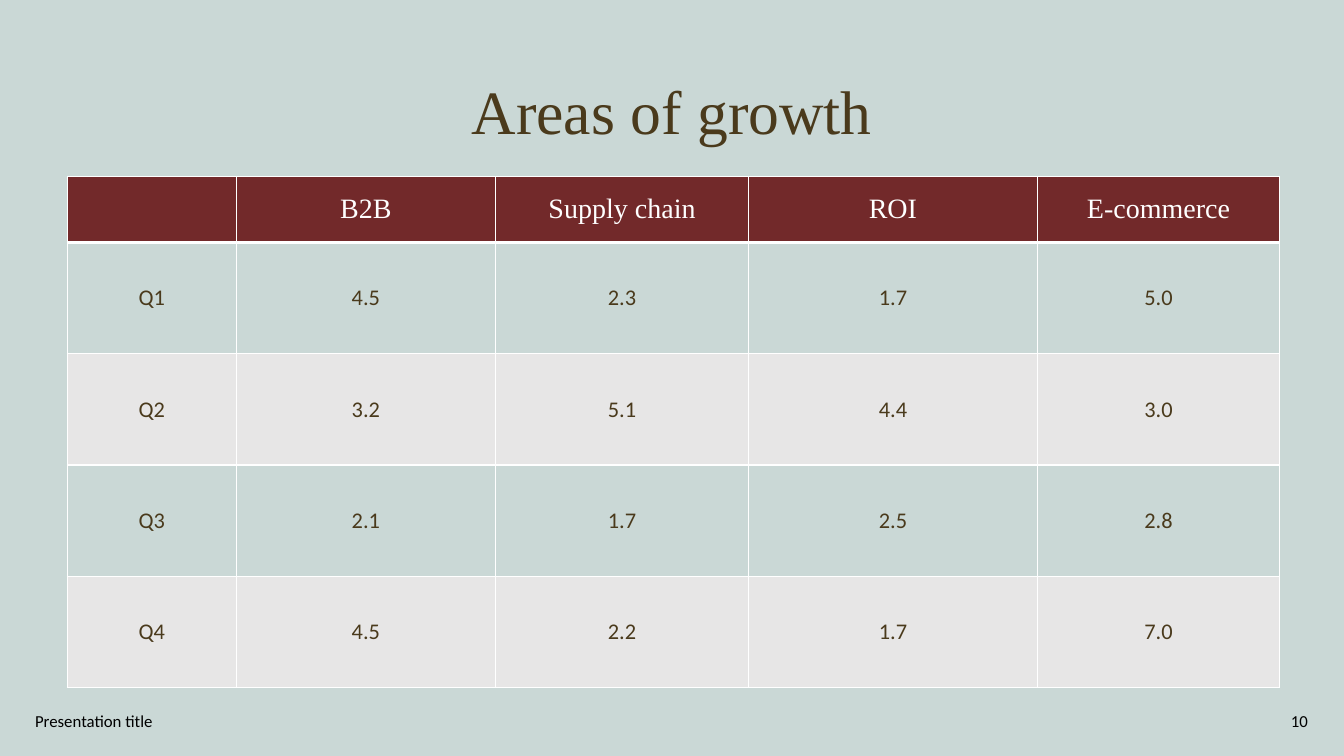
from lxml.etree import SubElement
from pptx import Presentation
from pptx.dml.color import RGBColor
from pptx.enum.text import MSO_ANCHOR, PP_ALIGN
from pptx.oxml.ns import qn
from pptx.util import Pt

TITLE = "Areas of growth"
FOOTER = "Presentation title"
PAGE_NUMBER = "10"
GROWTH = [
    ("", "B2B", "Supply chain", "ROI", "E-commerce"),
    ("Q1", "4.5", "2.3", "1.7", "5.0"),
    ("Q2", "3.2", "5.1", "4.4", "3.0"),
    ("Q3", "2.1", "1.7", "2.5", "2.8"),
    ("Q4", "4.5", "2.2", "1.7", "7.0"),
]

PX = 9525  # EMU, 96 px to the inch
SLIDE_WIDTH, SLIDE_HEIGHT = 1280, 720
TABLE_LEFT, TABLE_TOP = 64, 168
COLUMN_WIDTHS = (161, 247, 241, 275, 231)
HEADER_HEIGHT, QUARTER_HEIGHT = 63, 106
FOOTER_TOP, FOOTER_HEIGHT = 667, 38

SERIF, SANS = "Times New Roman", "Calibri"
SAGE = RGBColor(0xCA, 0xD8, 0xD6)
GREY = RGBColor(0xE7, 0xE6, 0xE6)
MAROON = RGBColor(0x72, 0x29, 0x2A)
BROWN = RGBColor(0x4A, 0x3A, 0x1C)
WHITE = RGBColor(0xFF, 0xFF, 0xFF)
BLACK = RGBColor(0, 0, 0)


def style(paragraph, font_name, size, color, align):
    paragraph.alignment = align
    paragraph.font.name = font_name
    paragraph.font.size = Pt(size)
    paragraph.font.color.rgb = color


def add_text(slide, text, box, font_name, size, color, align):
    frame = slide.shapes.add_textbox(*(n * PX for n in box)).text_frame
    frame.word_wrap = True
    frame.vertical_anchor = MSO_ANCHOR.MIDDLE
    paragraph = frame.paragraphs[0]
    paragraph.text = text
    style(paragraph, font_name, size, color, align)
    return paragraph


def add_borders(cell, top, bottom):
    """Draw white cell edges; top and bottom widths are in points."""
    properties = cell._tc.get_or_add_tcPr()
    for side, width in (("L", 1), ("R", 1), ("T", top), ("B", bottom)):
        line = SubElement(properties, qn(f"a:ln{side}"), w=str(Pt(width)))
        fill = SubElement(line, qn("a:solidFill"))
        SubElement(fill, qn("a:srgbClr"), val=str(WHITE))


def add_growth_table(slide):
    heights = [HEADER_HEIGHT] + [QUARTER_HEIGHT] * (len(GROWTH) - 1)
    table = slide.shapes.add_table(
        len(GROWTH), len(COLUMN_WIDTHS), TABLE_LEFT * PX, TABLE_TOP * PX,
        sum(COLUMN_WIDTHS) * PX, sum(heights) * PX).table
    for column, width in zip(table.columns, COLUMN_WIDTHS):
        column.width = width * PX
    for r, (quarter, height) in enumerate(zip(GROWTH, heights)):
        table.rows[r].height = height * PX
        if r == 0:
            background, text_style = MAROON, (SERIF, 20, WHITE)
        else:
            background, text_style = (SAGE if r % 2 else GREY), (SANS, 16, BROWN)
        for c, value in enumerate(quarter):
            cell = table.cell(r, c)
            add_borders(cell, top=3 if r == 1 else 1, bottom=3 if r == 0 else 1)
            cell.fill.solid()
            cell.fill.fore_color.rgb = background
            cell.vertical_anchor = MSO_ANCHOR.MIDDLE
            paragraph = cell.text_frame.paragraphs[0]
            paragraph.text = value
            style(paragraph, *text_style, PP_ALIGN.CENTER)


def main():
    presentation = Presentation()
    presentation.slide_width = SLIDE_WIDTH * PX
    presentation.slide_height = SLIDE_HEIGHT * PX
    slide = presentation.slides.add_slide(presentation.slide_layouts[6])
    slide.background.fill.solid()
    slide.background.fill.fore_color.rgb = SAGE

    title = add_text(slide, TITLE, (88, 40, 1104, 139), SERIF, 44, BROWN, PP_ALIGN.CENTER)
    title.line_spacing = 0.9
    add_growth_table(slide)
    add_text(slide, FOOTER, (24, FOOTER_TOP, 432, FOOTER_HEIGHT),
             SANS, 12, BLACK, PP_ALIGN.LEFT)
    add_text(slide, PAGE_NUMBER, (967, FOOTER_TOP, 288, FOOTER_HEIGHT),
             SANS, 12, BLACK, PP_ALIGN.RIGHT)
    presentation.save("out.pptx")


if __name__ == "__main__":
    main()
